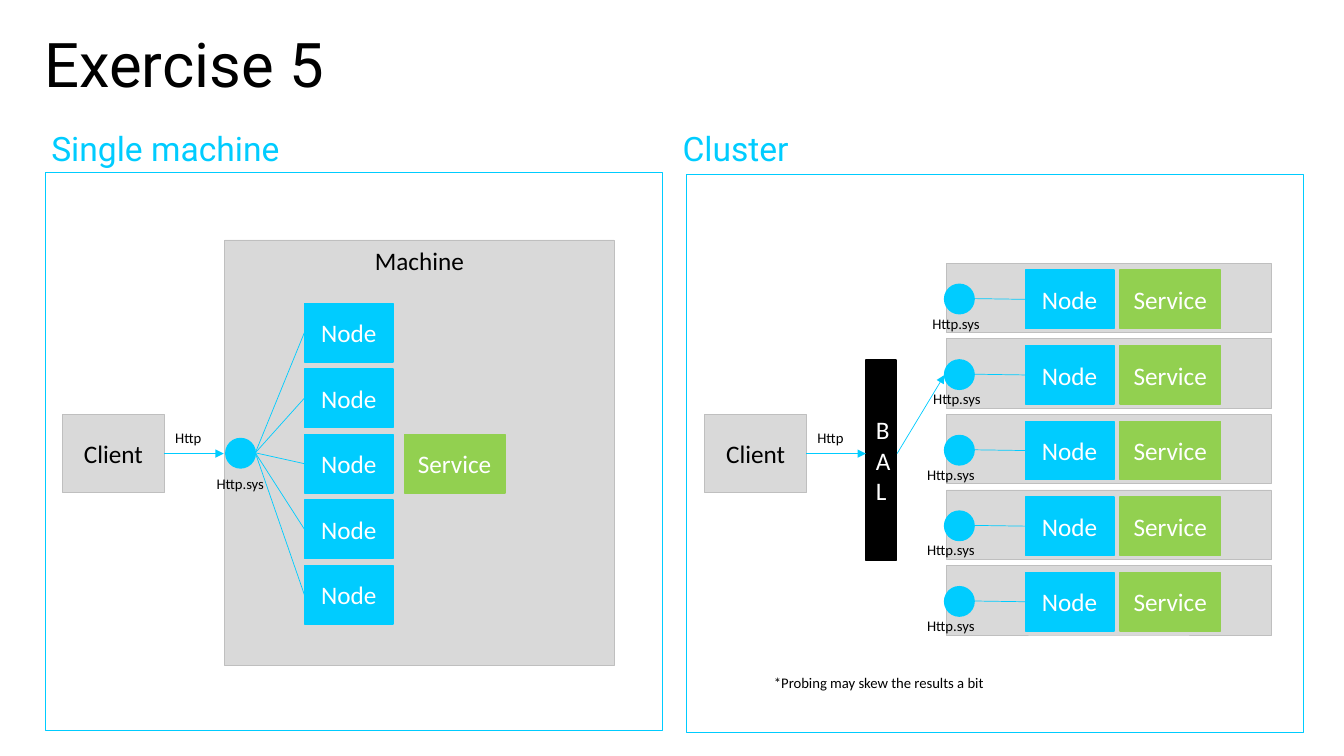
from pptx import Presentation
from pptx.dml.color import RGBColor
from pptx.enum.shapes import MSO_CONNECTOR as CONNECTOR, MSO_SHAPE as SHAPE
from pptx.enum.text import MSO_ANCHOR as ANCHOR, MSO_AUTO_SIZE as AUTO_SIZE, PP_ALIGN as ALIGN
from pptx.oxml.ns import qn
from pptx.util import Inches, Pt
from lxml.etree import SubElement

COLORS = {"cyan": "00CCFF", "green": "92D050", "grey": "D9D9D9",
          "edge": "BFBFBF", "black": "000000", "white": "FFFFFF"}

# fill, line, line width, text colour
STYLES = {
    "panel": ("white", "cyan", 1, "black"),
    "machine": ("grey", "edge", 0.5, "black"),
    "node": ("cyan", "cyan", 1, "white"),
    "service": ("green", "green", 1, "white"),
    "balancer": ("black", "black", 1, "white"),
}
# size, font, text colour
TEXTS = {
    "title": (44, "Roboto", "black"),
    "heading": (24, "Roboto", "cyan"),
    "label": (10.5, "Calibri", "black"),
}

presentation = Presentation()
presentation.slide_width, presentation.slide_height = Inches(13.333), Inches(7.5)
slide = presentation.slides.add_slide(presentation.slide_layouts[5])
# All lengths are percentages of the slide's width and height
ACROSS, DOWN = presentation.slide_width / 100, presentation.slide_height / 100


def place(kind, left, top, width, height, text="", form=SHAPE.RECTANGLE, anchor=ANCHOR.MIDDLE):
    """Place the title, a text box or a styled shape, and format its text."""
    box = [round(value * unit) for value, unit in
           zip((left, top, width, height), (ACROSS, DOWN, ACROSS, DOWN))]
    if kind in TEXTS:
        size, font_name, color = TEXTS[kind]
        align, anchor = ALIGN.LEFT, ANCHOR.TOP
        shape = slide.shapes.title if kind == "title" else slide.shapes.add_textbox(*box)
        shape.left, shape.top, shape.width, shape.height = box
    else:
        fill, line, line_width, color = STYLES[kind]
        size, font_name, align = 18, "Calibri", ALIGN.CENTER
        shape = slide.shapes.add_shape(form, *box)
        shape.shadow.inherit = False
        shape.fill.solid()
        shape.fill.fore_color.rgb = RGBColor.from_string(COLORS[fill])
        shape.line.color.rgb = RGBColor.from_string(COLORS[line])
        shape.line.width = Pt(line_width)
    if text:
        frame = shape.text_frame
        frame_format = {"text": text, "word_wrap": kind != "label",
                        "auto_size": AUTO_SIZE.NONE, "vertical_anchor": anchor}
        for name, value in frame_format.items():
            setattr(frame, name, value)
        paragraph = frame.paragraphs[0]
        paragraph.alignment = align
        font = paragraph.runs[0].font
        font.size, font.name = Pt(size), font_name
        font.color.rgb = RGBColor.from_string(COLORS[color])


def connect(start_x, start_y, end_x, end_y, arrow=False):
    """Draw a thin cyan line, with an arrowhead at its end if asked for."""
    connector = slide.shapes.add_connector(
        CONNECTOR.STRAIGHT, round(start_x * ACROSS), round(start_y * DOWN),
        round(end_x * ACROSS), round(end_y * DOWN))
    connector.line.color.rgb = RGBColor.from_string(COLORS["cyan"])
    connector.line.width = Pt(0.5)
    if arrow:
        SubElement(connector.line._get_or_add_ln(), qn("a:tailEnd"), type="triangle")
    SubElement(connector._element.spPr, qn("a:effectLst"))


NODE_WIDTH, NODE_HEIGHT = 6.6, 7.73
SERVICE_WIDTH = 7.5
DOT_WIDTH, DOT_HEIGHT = 2.2, 3.9
LABEL_WIDTH, LABEL_HEIGHT = 5.18, 3.73
REQUEST_Y = 60

# Title and panels with their headings
place("title", 2.55, 2.8, 92.78, 11.2, "Exercise 5")
for heading, heading_x, panel_x, panel_y in (
        ("Single machine", 3.08, 3.38, 22.8), ("Cluster", 50.05, 51.08, 23.07)):
    place("heading", heading_x, 16.27, 40, 6.67, heading)
    place("panel", panel_x, panel_y, 45.9, 73.87)

# Machine and load balancer, each called by a client
place("machine", 16.73, 31.73, 28.95, 56.27, "Machine", anchor=ANCHOR.TOP)
place("balancer", 64.43, 47.6, 2.25, 26.53, "BAL")
for client_x, target_x in ((4.65, 16.65), (52.43, 64.43)):
    place("machine", client_x, 54.8, 7.58, 10.4, "Client")
    connect(client_x + 7.55, REQUEST_Y, target_x, REQUEST_Y, arrow=True)
    place("label", client_x + 7.65, 56.13, 3.6, 3.87, "Http")

# Single machine: one listener fans out to five nodes
place("node", 16.8, 58, DOT_WIDTH, DOT_HEIGHT, form=SHAPE.OVAL)
place("label", 15.38, 62.13, LABEL_WIDTH, LABEL_HEIGHT, "Http.sys")
for row in range(5):
    node_y = 40.13 + row * 8.67
    place("node", 22.65, node_y, NODE_WIDTH, NODE_HEIGHT, "Node")
    connect(22.65, node_y + NODE_HEIGHT / 2, 19, 59.9)
place("service", 30.08, 57.47, SERVICE_WIDTH, NODE_HEIGHT, "Service")

# Cluster: five machines, each with a listener, a node and a service
for row, label_x in enumerate((68.63, 68.7, 68.25, 68.25, 68.25)):
    row_y = 34.8 + row * 10
    place("machine", 70.43, row_y, 24.15, 9.2)
    place("node", 76.28, row_y + 0.93, NODE_WIDTH, NODE_HEIGHT, "Node")
    place("service", 83.33, row_y + 0.93, SERVICE_WIDTH, NODE_HEIGHT, "Service")
    connect(76.28, row_y + 4.8, 72.45, row_y + 4.7)
    place("node", 70.28, row_y + 2.8, DOT_WIDTH, DOT_HEIGHT, form=SHAPE.OVAL)
    place("label", label_x, row_y + 6.13, LABEL_WIDTH, LABEL_HEIGHT, "Http.sys")
connect(66.75, REQUEST_Y, 70.28, 49.6, arrow=True)

# Footnote
place("label", 56.85, 88.53, 17.4, LABEL_HEIGHT, "*Probing may skew the results a bit")

presentation.save("out.pptx")
